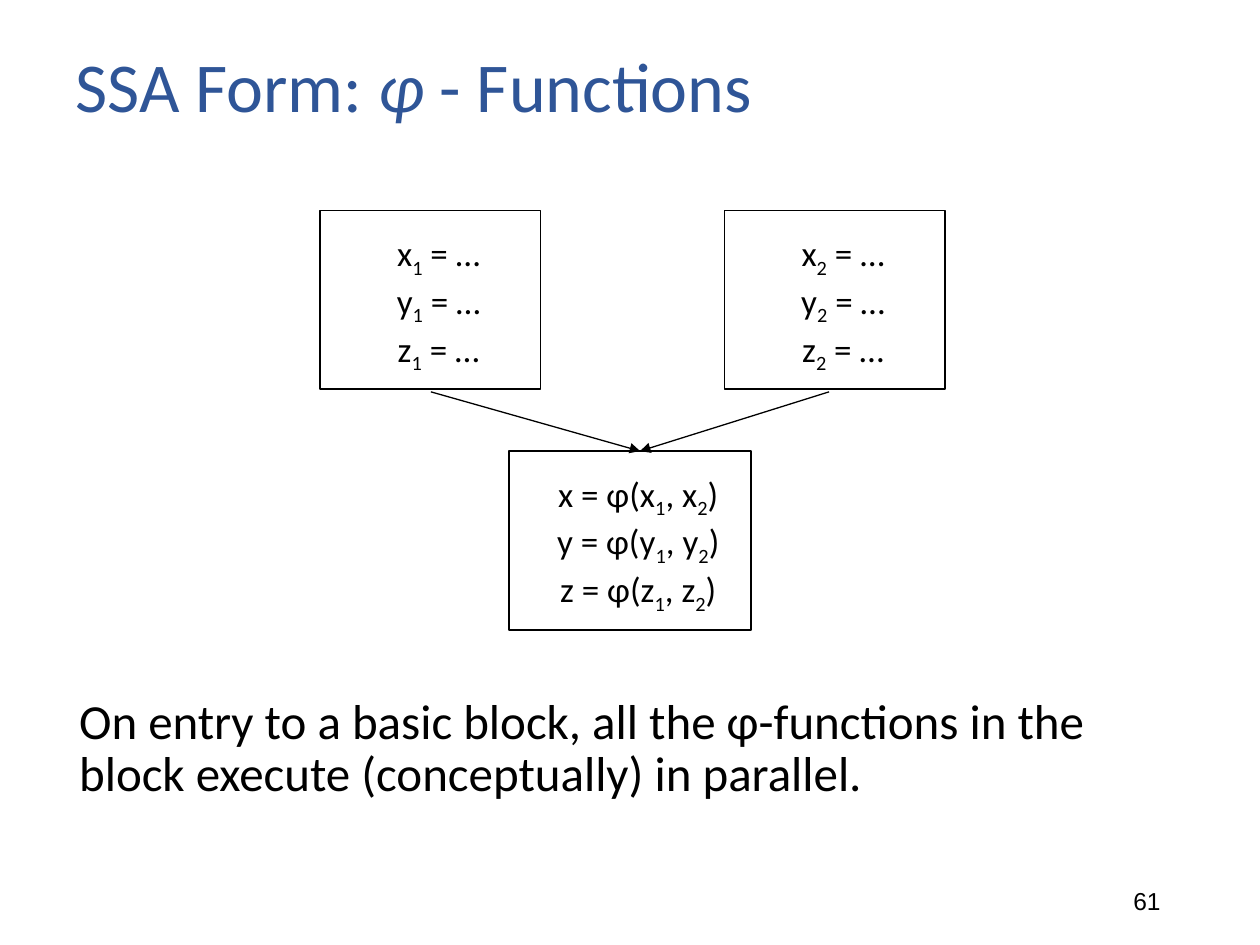
"""Build a slide on SSA form and its phi functions."""
from dataclasses import dataclass

from lxml import etree
from pptx import Presentation
from pptx.dml.color import RGBColor
from pptx.enum.shapes import MSO_CONNECTOR, MSO_SHAPE
from pptx.enum.text import MSO_ANCHOR, PP_ALIGN
from pptx.oxml.ns import qn
from pptx.util import Inches, Pt

RECT = MSO_SHAPE.RECTANGLE
LINE = MSO_CONNECTOR.STRAIGHT
TOP, MID = MSO_ANCHOR.TOP, MSO_ANCHOR.MIDDLE
LEFT, RIGHT, CENTER = PP_ALIGN.LEFT, PP_ALIGN.RIGHT, PP_ALIGN.CENTER


@dataclass(frozen=True)
class Theme:
    ink: RGBColor = RGBColor(0, 0, 0)
    blue: RGBColor = RGBColor(0x2F, 0x55, 0x97)
    face: str = "Calibri"
    plain: str = "Arial"
    title: int = 40
    body: int = 28
    code: int = 20
    page: int = 14


class Deck:
    def __init__(self, slide, theme):
        self.slide = slide
        self.theme = theme

    def style(self, para, size, color, face):
        para.font.size = Pt(size)
        para.font.color.rgb = color
        para.font.name = face

    def text(self, area, parts, size, color=None, face=None,
             align=LEFT, anchor=MID, space=None):
        box = self.slide.shapes.add_textbox(*map(Inches, area))
        frame = box.text_frame
        frame.word_wrap = True
        frame.vertical_anchor = anchor
        para = frame.paragraphs[0]
        para.alignment = align
        para.line_spacing = space
        for words, slant in parts:
            run = para.add_run()
            run.text = words
            if slant:
                run.font.italic = True
        self.style(para, size, color or self.theme.ink, face or self.theme.face)

    def block(self, area, rows, side=0.1):
        box = self.slide.shapes.add_shape(RECT, *map(Inches, area))
        box.shadow.inherit = False
        box.fill.background()
        box.line.color.rgb = self.theme.ink
        box.line.width = Pt(1)
        frame = box.text_frame
        frame.word_wrap = True
        frame.vertical_anchor = MID
        frame.margin_left = Inches(side + 0.13)
        frame.margin_right = Inches(side)
        frame.margin_top = Inches(0.1)
        for index, row in enumerate(rows):
            para = frame.add_paragraph() if index else frame.paragraphs[0]
            para.alignment = CENTER
            self.code(para, row)
            self.style(para, self.theme.code, self.theme.ink, self.theme.face)

    def code(self, para, row):
        """Write a row in which an underscore lowers the next digit."""
        head, *tails = row.split("_")
        para.add_run().text = head
        for tail in tails:
            low = para.add_run()
            low.text = tail[0]
            low._r.get_or_add_rPr().set("baseline", "-25000")
            para.add_run().text = tail[1:]

    def arrow(self, start, end):
        line = self.slide.shapes.add_connector(LINE, *map(Inches, start + end))
        line.line.color.rgb = self.theme.ink
        line.line.width = Pt(0.75)
        tip = etree.SubElement(line.line._get_or_add_ln(), qn("a:tailEnd"))
        tip.set("type", "triangle")
        etree.SubElement(line._element.spPr, qn("a:effectLst"))


def main():
    show = Presentation()
    show.slide_width, show.slide_height = Inches(10), Inches(7.5)
    theme = Theme()
    deck = Deck(show.slides.add_slide(show.slide_layouts[6]), theme)

    deck.text((7.06, 6.95, 2.25, 0.4), [("61", False)], theme.page,
              face=theme.plain, align=RIGHT)
    deck.text((0.5, 0.25, 9, 0.92),
              [("SSA Form: ", False), ("φ ", True), ("- Functions", False)],
              theme.title, theme.blue, space=0.9)
    deck.text((0.53, 5.48, 9, 1.09),
              [("On entry to a basic block, all the φ-functions in the "
                "block execute (conceptually) in parallel.", False)],
              theme.body, anchor=TOP, space=0.9)

    names = "xyz"
    for number, left in ((1, 2.54), (2, 5.75)):
        deck.block((left, 1.67, 1.75, 1.42),
                   [f"{name}_{number} = …" for name in names])
    deck.block((4.04, 3.58, 1.92, 1.42),
               [f"{name} = φ({name}_1, {name}_2)" for name in names], side=0)
    for start in (3.42, 6.58):
        deck.arrow((start, 3.11), (5.08, 3.58))

    show.save("out.pptx")


if __name__ == "__main__":
    main()
